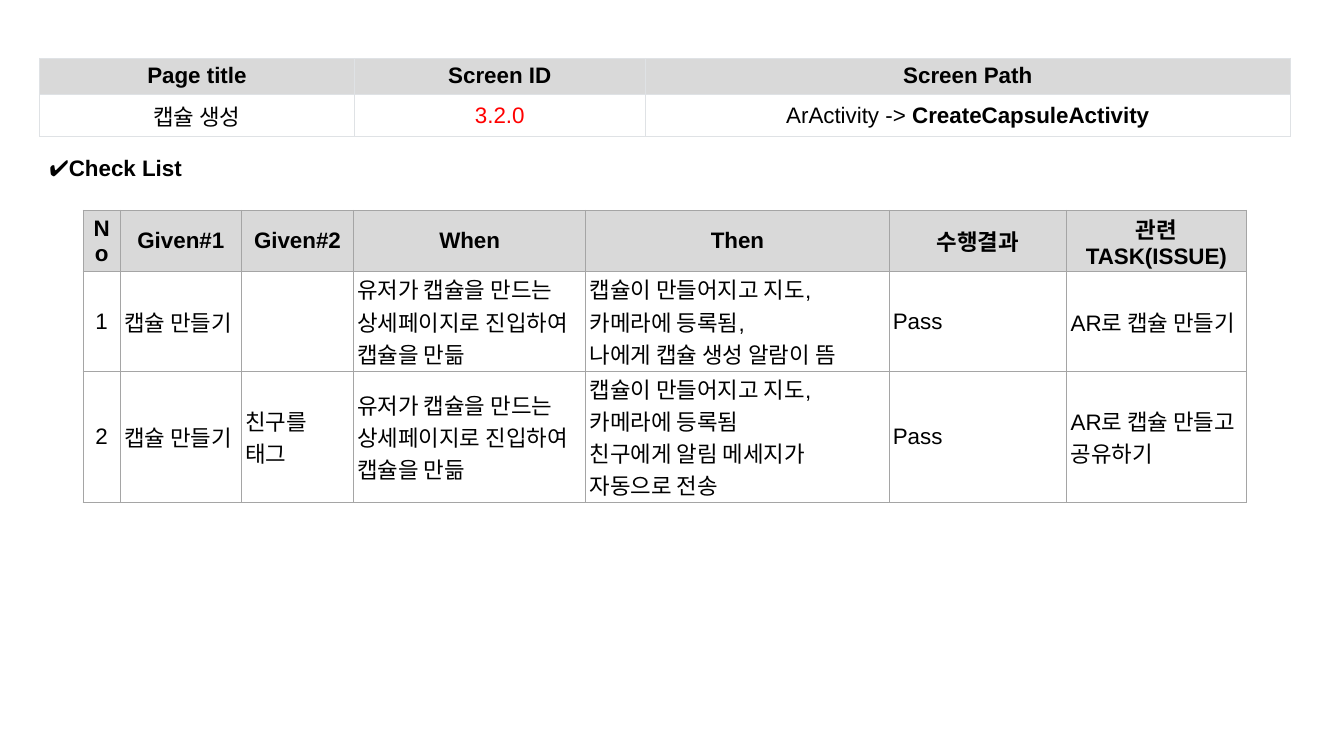
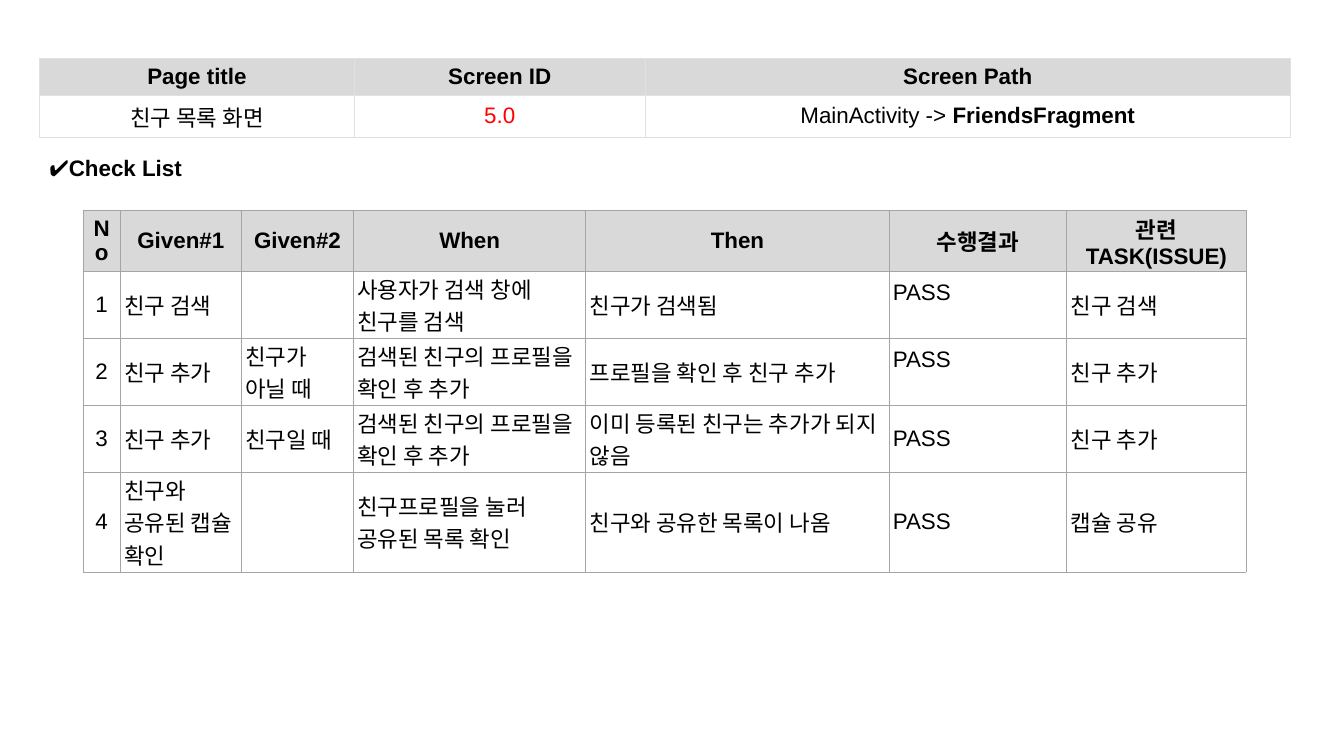
import pptx
import pptx.util
import pptx.dml.color
import pptx.enum.text
import pptx.oxml
import pptx.oxml.ns
from dataclasses import dataclass

Pt = pptx.util.Pt
Color = pptx.dml.color.RGBColor.from_string
ALIGN = pptx.enum.text.PP_ALIGN
MIDDLE = pptx.enum.text.MSO_ANCHOR.MIDDLE


@dataclass(frozen=True)
class Theme:
    font: str = "Arial"
    size: float = 16
    text: str = "000000"
    accent: str = "FF0000"
    header_fill: str = "D9D9D9"
    body_fill: str = "FFFFFF"
    info_border: str = "DFE2E5"
    check_border: str = "A5A5A5"
    border_width: float = 0.75


THEME = Theme()

# Boxes: left, top, width, height
INFO_BOX = (28.2, 41.6, 893.6, 55.6)
HEADING_BOX = (28.2, 106.5, 133.2, 28.8)
CHECK_BOX = (59.3, 150.2, 830.8)

INFO_COLUMNS = [225, 207.6, 461]
INFO_ROWS = [25.6, 30]
INFO_HEADERS = ["Page title", "Screen ID", "Screen Path"]
INFO_INSETS = (7.2, 3.6)

CHECK_COLUMNS = [26.6, 86.6, 80, 166, 216.6, 127, 128]
CHECK_HEADERS = ["No", "Given#1", "Given#2", "When", "Then", "수행결과", "관련 TASK(ISSUE)"]
CHECK_HEADER_HEIGHT = 43.6
HEADER_INSETS = (2.7, 1.4)
BODY_INSETS = (2.7, 0.5)
LINE_HEIGHTS = {2: 47.8, 3: 71.4, 4: 93.6}
RESULT_COLUMN = 5
RAISED_INSET = 17


@dataclass
class Check:
    lines: int
    texts: list
    raised_result: bool = False


# Text and cell styling
def style_paragraph(paragraph, bold=False, color=THEME.text, align=ALIGN.LEFT):
    paragraph.alignment = align
    font = paragraph.font
    font.name = THEME.font
    font.size = Pt(THEME.size)
    font.bold = bold
    font.color.rgb = Color(color)


def set_insets(target, horizontal, vertical):
    target.margin_left = target.margin_right = Pt(horizontal)
    target.margin_top = target.margin_bottom = Pt(vertical)


def set_borders(cell, color):
    properties = cell._tc.get_or_add_tcPr()
    for index, side in enumerate(("lnL", "lnR", "lnT", "lnB")):
        line = pptx.oxml.parse_xml(
            f'<a:{side} {pptx.oxml.ns.nsdecls("a")} w="{Pt(THEME.border_width)}">'
            f'<a:solidFill><a:srgbClr val="{color}"/></a:solidFill></a:{side}>')
        properties.insert(index, line)


def fill_cell(cell, text, insets, border, header=False, **style):
    cell.text = text
    cell.vertical_anchor = MIDDLE
    set_insets(cell, *insets)
    cell.fill.solid()
    cell.fill.fore_color.rgb = Color(THEME.header_fill if header else THEME.body_fill)
    set_borders(cell, border)
    for paragraph in cell.text_frame.paragraphs:
        style_paragraph(paragraph, bold=header, **style)


def add_plain_table(slide, left, top, column_widths, row_heights):
    frame = slide.shapes.add_table(
        len(row_heights), len(column_widths), Pt(left), Pt(top),
        Pt(sum(column_widths)), Pt(sum(row_heights)))
    table = frame.table
    table.first_row = table.horz_banding = False
    for column, width in zip(table.columns, column_widths):
        column.width = Pt(width)
    for row, height in zip(table.rows, row_heights):
        row.height = Pt(height)
    return table


# Screen information across the top
def add_screen_info(slide, box, title, screen_id, parent, screen):
    left, top, width, height = box
    column_scale = width / sum(INFO_COLUMNS)
    row_scale = height / sum(INFO_ROWS)
    table = add_plain_table(slide, left, top,
                            [column * column_scale for column in INFO_COLUMNS],
                            [row * row_scale for row in INFO_ROWS])
    for column, header in enumerate(INFO_HEADERS):
        fill_cell(table.cell(0, column), header, INFO_INSETS, THEME.info_border,
                  header=True, align=ALIGN.CENTER)
    values = [(title, THEME.text), (screen_id, THEME.accent), (f"{parent} -> ", THEME.text)]
    for column, (value, color) in enumerate(values):
        fill_cell(table.cell(1, column), value, INFO_INSETS, THEME.info_border,
                  color=color, align=ALIGN.CENTER)
    screen_run = table.cell(1, 2).text_frame.paragraphs[0].add_run()
    screen_run.text = screen
    screen_run.font.bold = True


# Heading above the checks
def add_heading(slide, box, text):
    shape = slide.shapes.add_textbox(*map(Pt, box))
    frame = shape.text_frame
    frame.word_wrap = True
    set_insets(frame, 7.2, 3.6)
    frame.text = text
    style_paragraph(frame.paragraphs[0], bold=True)


# Numbered checks
def add_check_table(slide, box, checks):
    left, top, width = box
    scale = width / sum(CHECK_COLUMNS)
    heights = [CHECK_HEADER_HEIGHT] + [LINE_HEIGHTS[check.lines] for check in checks]
    table = add_plain_table(slide, left, top, [column * scale for column in CHECK_COLUMNS], heights)
    for column, header in enumerate(CHECK_HEADERS):
        fill_cell(table.cell(0, column), header, HEADER_INSETS, THEME.check_border,
                  header=True, align=ALIGN.CENTER)
    for number, check in enumerate(checks, start=1):
        for column, text in enumerate([str(number)] + check.texts):
            fill_cell(table.cell(number, column), text, BODY_INSETS, THEME.check_border,
                      align=ALIGN.LEFT if column else ALIGN.CENTER)
        if check.raised_result:
            table.cell(number, RESULT_COLUMN).margin_bottom = Pt(RAISED_INSET)


def add_check_slide(presentation, screen_info, checks):
    slide = presentation.slides.add_slide(presentation.slide_layouts[6])
    add_check_table(slide, CHECK_BOX, checks)
    add_screen_info(slide, INFO_BOX, *screen_info)
    add_heading(slide, HEADING_BOX, "✔Check List")


CREATE_CAPSULE = "유저가 캡슐을 만드는 상세페이지로 진입하여 캡슐을 만듦"
CONFIRM_PROFILE = "검색된 친구의 프로필을 확인 후 추가"

CAPSULE_CHECKS = [
    Check(3, ["캡슐 만들기", "", CREATE_CAPSULE,
              "캡슐이 만들어지고 지도, 카메라에 등록됨,\v나에게 캡슐 생성 알람이 뜸",
              "Pass", "AR로 캡슐 만들기"]),
    Check(4, ["캡슐 만들기", "친구를 태그", CREATE_CAPSULE,
              "캡슐이 만들어지고 지도, 카메라에 등록됨\n친구에게 알림 메세지가 자동으로 전송",
              "Pass", "AR로 캡슐 만들고 공유하기"]),
]

FRIEND_CHECKS = [
    Check(2, ["친구 검색", "", "사용자가 검색 창에 친구를 검색", "친구가 검색됨",
              "PASS", "친구 검색"], raised_result=True),
    Check(2, ["친구 추가", "친구가 아닐 때", CONFIRM_PROFILE, "프로필을 확인 후 친구 추가",
              "PASS", "친구 추가"], raised_result=True),
    Check(2, ["친구 추가", "친구일 때", CONFIRM_PROFILE, "이미 등록된 친구는 추가가 되지 않음",
              "PASS", "친구 추가"]),
    Check(3, ["친구와 공유된 캡슐 확인", "", "친구프로필을 눌러 공유된 목록 확인",
              "친구와 공유한 목록이 나옴", "PASS", "캡슐 공유"]),
]


def main():
    presentation = pptx.Presentation()
    presentation.slide_width = Pt(960)
    presentation.slide_height = Pt(540)
    add_check_slide(presentation,
                    ("캡슐 생성", "3.2.0", "ArActivity", "CreateCapsuleActivity"), CAPSULE_CHECKS)
    add_check_slide(presentation,
                    ("친구 목록 화면", "5.0", "MainActivity", "FriendsFragment"), FRIEND_CHECKS)
    presentation.save("out.pptx")


if __name__ == "__main__":
    main()
